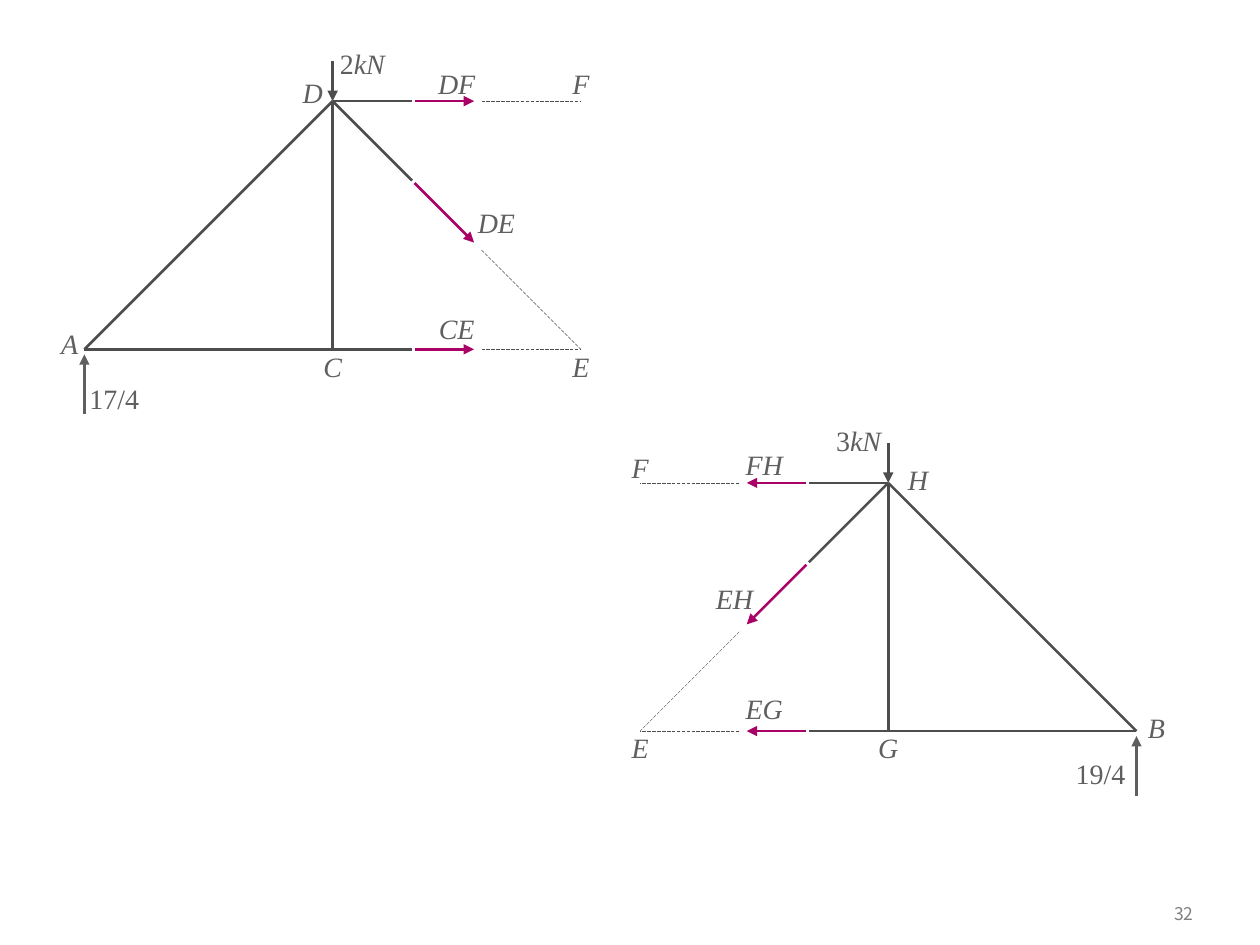
from dataclasses import dataclass

from lxml.etree import SubElement
from pptx import Presentation
from pptx.dml.color import RGBColor
from pptx.enum.dml import MSO_LINE
from pptx.enum.shapes import MSO_CONNECTOR
from pptx.enum.text import MSO_ANCHOR as Anchor, PP_ALIGN as Align
from pptx.oxml.ns import qn
from pptx.util import Inches, Pt


@dataclass(frozen=True)
class Theme:
    """Colours, fonts and sizes of the slide."""
    member: str = "4D4D4D"
    label: str = "5F5F5F"
    force: str = "A90165"
    number: str = "808080"
    label_font: str = "Times New Roman"
    number_font: str = "Noto Sans CJK KR"
    label_size: float = 16
    number_size: float = 10
    heavy: float = 1.5
    thin: float = 0.25


@dataclass(frozen=True)
class TrussBox:
    """Support column, top chord, bay width and direction from support to cut."""
    support: float
    top: float
    bay: float
    toward: int

    def at(self, column, row):
        """Turn bay columns and rows into slide inches."""
        return self.support + self.toward * self.bay * column, self.top + self.bay * row


THEME = Theme()
WIDTH, HEIGHT = 10, 7.5
BAY = 0.197 * WIDTH
CUT = 0.32
FORCE_SPAN = (0.33, 0.57)
GHOST_SPAN = (0.6, 1)
LABEL_HEIGHT = 0.32

MEMBERS = [
    ((0, 1), (1, 0)),
    ((0, 1), (1 + CUT, 1)),
    ((1 + CUT, CUT), (1, 0)),
    ((1 + CUT, 0), (1, 0)),
    ((1, 1), (1, 0)),
]
CUT_MEMBERS = [(0, 0), (0, 1), (1, 0)]

LEFT_LABELS = [
    ("17/4", "", 0.12, 1.21),
    ("", "A", -0.06, 0.99),
    ("", "C", 1, 1.08),
    ("2", "kN", 1.12, -0.14),
    ("", "D", 0.92, -0.02),
    ("", "E", 2, 1.08),
    ("", "F", 2, -0.06),
    ("", "DF", 1.5, -0.06),
    ("", "CE", 1.5, 0.93),
    ("", "DE", 1.66, 0.5),
]
RIGHT_LABELS = [
    ("19/4", "", 0.145, 1.185),
    ("", "B", -0.08, 1),
    ("3", "kN", 1.12, -0.16),
    ("", "G", 1, 1.08),
    ("", "H", 0.88, 0),
    ("", "E", 2, 1.08),
    ("", "F", 2, -0.05),
    ("", "FH", 1.5, -0.06),
    ("", "EG", 1.5, 0.92),
    ("", "EH", 1.62, 0.48),
]


def style_span(span, font, size, color, italic=False):
    """Format one run of text."""
    span.font.name = font
    span.font.size = Pt(size)
    span.font.italic = italic
    span.font.color.rgb = RGBColor.from_string(color)


def add_line(group, start, end, color, width=THEME.heavy, arrow=False, dashed=False):
    """Draw a straight line, with an arrowhead at its end or dashes on request."""
    ends = [Inches(value) for value in (*start, *end)]
    line = group.shapes.add_connector(MSO_CONNECTOR.STRAIGHT, *ends)
    line.line.color.rgb = RGBColor.from_string(color)
    line.line.width = Pt(width)
    if dashed:
        line.line.dash_style = MSO_LINE.LONG_DASH
    if arrow:
        SubElement(line.line._get_or_add_ln(), qn("a:tailEnd"), type="triangle")
    SubElement(line._element.spPr, qn("a:effectLst"))


def add_label(group, center, upright, italic):
    """Write a label around a centre, its upright part before its italic part."""
    width = 0.23 + 0.08 * len(upright + italic)
    left, top = center[0] - width / 2, center[1] - LABEL_HEIGHT / 2
    box = group.shapes.add_textbox(*map(Inches, (left, top, width, LABEL_HEIGHT)))
    frame = box.text_frame
    frame.word_wrap = True
    frame.margin_left = frame.margin_right = frame.margin_top = frame.margin_bottom = 0
    para = frame.paragraphs[0]
    para.alignment = Align.CENTER
    for text, slanted in ((upright, False), (italic, True)):
        if text:
            span = para.add_run()
            span.text = text
            style_span(span, THEME.label_font, THEME.label_size, THEME.label, slanted)


def add_truss(page, box, labels):
    """Draw half a truss with its loads, cut members and labels."""
    group = page.shapes.add_group_shape()
    for start, end in MEMBERS:
        add_line(group, box.at(*start), box.at(*end), THEME.member)
    for row, slope in CUT_MEMBERS:
        force, ghost = ([box.at(1 + step, row + slope * step) for step in span]
                        for span in (FORCE_SPAN, GHOST_SPAN))
        add_line(group, *force, THEME.force, arrow=True)
        add_line(group, *ghost, THEME.member, THEME.thin, dashed=True)
    add_line(group, box.at(0, 1.26), box.at(0, 1.02), THEME.label, arrow=True)
    add_line(group, box.at(1, -0.16), box.at(1, 0), THEME.member, arrow=True)
    for upright, italic, column, row in labels:
        add_label(group, box.at(column, row), upright, italic)


def add_page_number(page, left, top, width, height):
    """Write the page number in its box."""
    box = page.shapes.add_textbox(*map(Inches, (left, top, width, height)))
    frame = box.text_frame
    frame.word_wrap = True
    frame.vertical_anchor = Anchor.MIDDLE
    frame.text = "32"
    para = frame.paragraphs[0]
    para.alignment = Align.RIGHT
    style_span(para.runs[0], THEME.number_font, THEME.number_size, THEME.number)


def main():
    """Build the slide and save it."""
    deck = Presentation()
    deck.slide_width, deck.slide_height = Inches(WIDTH), Inches(HEIGHT)
    page = deck.slides.add_slide(deck.slide_layouts[6])
    add_page_number(page, 0.886 * WIDTH, 0.945 * HEIGHT, 0.071 * WIDTH, 0.044 * HEIGHT)
    add_truss(page, TrussBox(0.067 * WIDTH, 0.107 * HEIGHT, BAY, 1), LEFT_LABELS)
    add_truss(page, TrussBox(0.902 * WIDTH, 0.511 * HEIGHT, BAY, -1), RIGHT_LABELS)
    deck.save("out.pptx")


if __name__ == "__main__":
    main()
